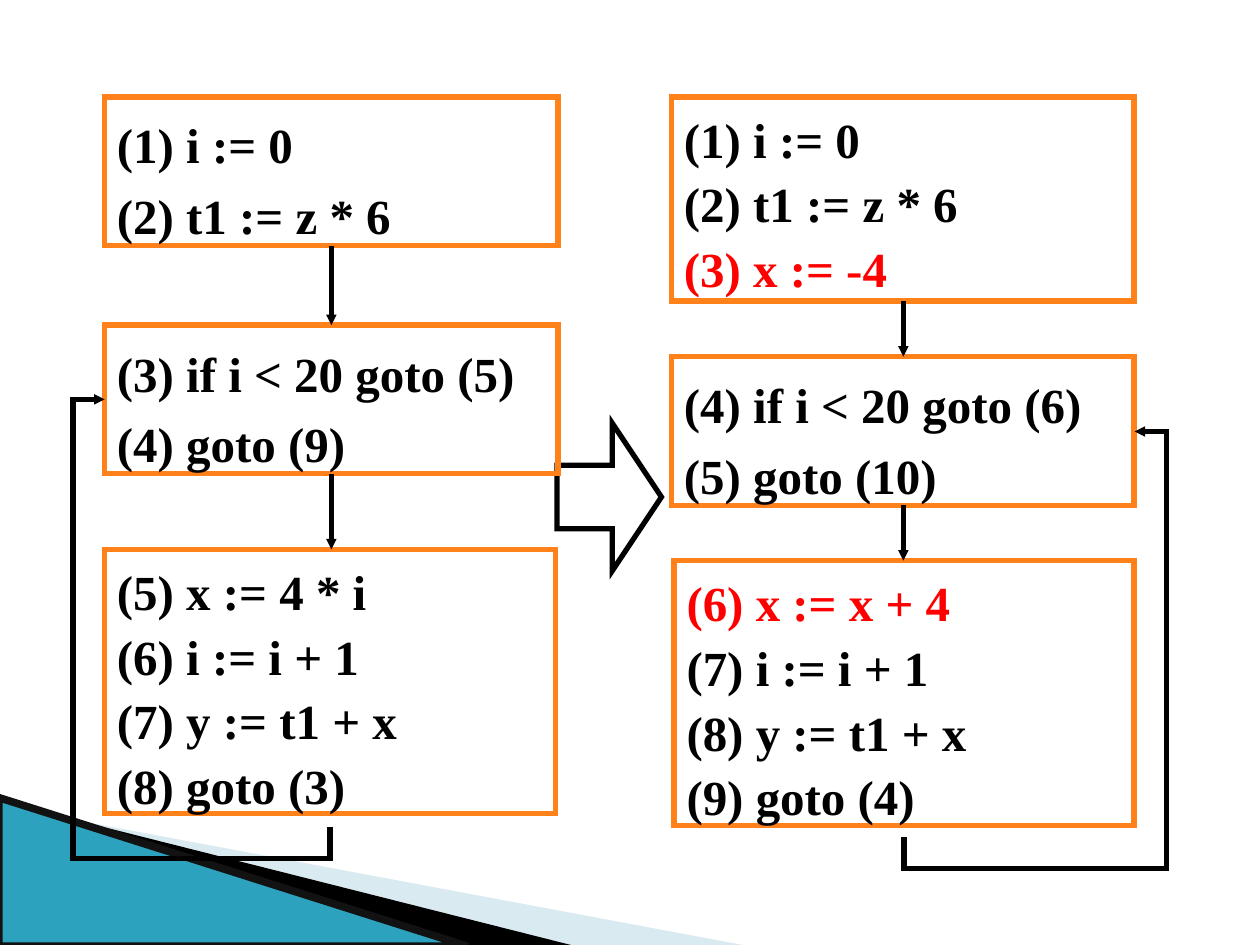
from lxml import etree
from pptx import Presentation
from pptx.dml.color import RGBColor
from pptx.enum.shapes import MSO_CONNECTOR, MSO_SHAPE
from pptx.enum.text import MSO_ANCHOR, MSO_AUTO_SIZE, PP_ALIGN
from pptx.oxml.ns import qn
from pptx.util import Inches, Pt

STRAIGHT, ELBOW = MSO_CONNECTOR.STRAIGHT, MSO_CONNECTOR.ELBOW
RECTANGLE, RIGHT_ARROW = MSO_SHAPE.RECTANGLE, MSO_SHAPE.RIGHT_ARROW
RIGHT_TRIANGLE = MSO_SHAPE.RIGHT_TRIANGLE
TOP, LEFT = MSO_ANCHOR.TOP, PP_ALIGN.LEFT
FIT_SHAPE = MSO_AUTO_SIZE.SHAPE_TO_FIT_TEXT

COLORS = {
    "black": "000000", "changed": "FF0000", "border": "FF8119",
    "pale": "A0CBDC", "edge": "97C5D8", "teal": "2DA2BF", "dark": "121212",
}
COLOR = {name: RGBColor.from_string(value) for name, value in COLORS.items()}
CODE_FONT = {"name": "Times New Roman", "size": Pt(28), "bold": True}

presentation = Presentation()
presentation.slide_width, presentation.slide_height = Inches(10), Inches(7.5)
slide = presentation.slides.add_slide(presentation.slide_layouts[6])
shapes = slide.shapes


def add_line(kind, start, end, color="black", width=3, arrow=True):
    connector = shapes.add_connector(kind, *map(Inches, start + end))
    connector.line.color.rgb = COLOR[color]
    connector.line.width = Pt(width)
    outline = connector.line._get_or_add_ln()
    etree.SubElement(outline, qn("a:miter"), lim="800000")
    if arrow:
        etree.SubElement(outline, qn("a:tailEnd"),
                         type="triangle", w="sm", len="sm")
    etree.SubElement(connector._element.spPr, qn("a:effectLst"))
    return connector


def add_outlined(kind, box, color, width=3):
    shape = shapes.add_shape(kind, *map(Inches, box))
    shape.shadow.inherit = False
    shape.fill.background()
    shape.line.color.rgb = COLOR[color]
    shape.line.width = Pt(width)
    etree.SubElement(shape.line._get_or_add_ln(), qn("a:miter"), lim="800000")
    return shape


# Corner decoration, in hundredths of an inch because freeform points are whole
wedges = [
    ("pale", [(55, 650), (595, 751), (456, 751)]),
    ("black", [(53, 649), (457, 751), (372, 752)]),
]
for color, points in wedges:
    builder = shapes.build_freeform(*points[0], scale=Inches(0.01))
    builder.add_line_segments(points[1:], close=True)
    wedge = builder.convert_to_shape()
    wedge.shadow.inherit = False
    wedge.fill.solid()
    wedge.fill.fore_color.rgb = COLOR[color]
    wedge.line.fill.background()
    if color == "pale":
        fill_color = wedge._element.spPr.find(".//" + qn("a:srgbClr"))
        etree.SubElement(fill_color, qn("a:alpha"), val="40000")

add_line(STRAIGHT, (-0.01, 6.33), (3.71, 7.52), "edge", 0.95, arrow=False)
corner = add_outlined(RIGHT_TRIANGLE, (-0.01, 6.33, 3.72, 1.18), "dark", 4.33)
corner.fill.solid()
corner.fill.fore_color.rgb = COLOR["teal"]

# Arrow from the first flow graph to the transformed one
transform_arrow = add_outlined(RIGHT_ARROW, (4.42, 3.36, 0.83, 1.17), "black")
transform_arrow.adjustments[0] = 0.43
transform_arrow.adjustments[1] = 0.47

# Basic blocks: position, line spacing, code lines, changed line
blocks = [
    ((0.83, 0.77, 3.6, 1.18), 1.2, ["(1) i := 0", "(2) t1 := z * 6"], None),
    ((0.83, 2.58, 3.6, 1.18), 1.2,
     ["(3) if i < 20 goto (5)", "(4) goto (9)"], None),
    ((0.83, 4.36, 3.58, 2.1), 1.1,
     ["(5) x := 4 * i", "(6) i := i + 1", "(7) y := t1 + x", "(8) goto (3)"],
     None),
    ((5.33, 0.77, 3.67, 1.62), 1.1,
     ["(1) i := 0", "(2) t1 := z * 6", "(3) x := -4"], 2),
    ((5.33, 2.83, 3.67, 1.18), 1.2,
     ["(4) if i < 20 goto (6)", "(5) goto (10)"], None),
    ((5.35, 4.45, 3.65, 2.1), 1.1,
     ["(6) x := x + 4", "(7) i := i + 1", "(8) y := t1 + x", "(9) goto (4)"],
     0),
]
for box, spacing, code_lines, changed in blocks:
    block = add_outlined(RECTANGLE, box, "border")
    frame = block.text_frame
    frame.word_wrap = True
    frame.auto_size = FIT_SHAPE
    frame.vertical_anchor = TOP
    for index, code in enumerate(code_lines):
        paragraph = frame.paragraphs[0] if index == 0 else frame.add_paragraph()
        paragraph.alignment = LEFT
        paragraph.line_spacing = spacing
        run = paragraph.add_run()
        run.text = code
        for attribute, value in CODE_FONT.items():
            setattr(run.font, attribute, value)
        run.font.color.rgb = COLOR["changed" if index == changed else "black"]

# Straight flow between consecutive blocks
flows = [(2.63, 1.95, 2.58), (2.63, 3.76, 4.36),
         (7.17, 2.39, 2.83), (7.17, 4.01, 4.45)]
for x, top, bottom in flows:
    add_line(STRAIGHT, (x, top), (x, bottom))

# Loop back edges: unrotated frame, mirroring, bend positions
back_edges = [
    ((0.03, 3.97, 3.39, 1.79), ["flipH"], (-7400, 114000)),
    ((6.48, 4.12, 3.22, 1.83), ["flipH", "flipV"], (-7800, 113700)),
]
for (left, top, width, height), flips, bends in back_edges:
    edge = add_line(ELBOW, (left, top), (left + width, top + height))
    properties = edge._element.spPr
    transform = properties.find(qn("a:xfrm"))
    transform.set("rot", "5400000")
    for flip in flips:
        transform.set(flip, "1")
    geometry = properties.find(qn("a:prstGeom"))
    geometry.set("prst", "bentConnector4")
    guides = geometry.find(qn("a:avLst"))
    for number, bend in enumerate(bends, 1):
        etree.SubElement(guides, qn("a:gd"), name=f"adj{number}",
                         fmla=f"val {bend}")

presentation.save("out.pptx")
